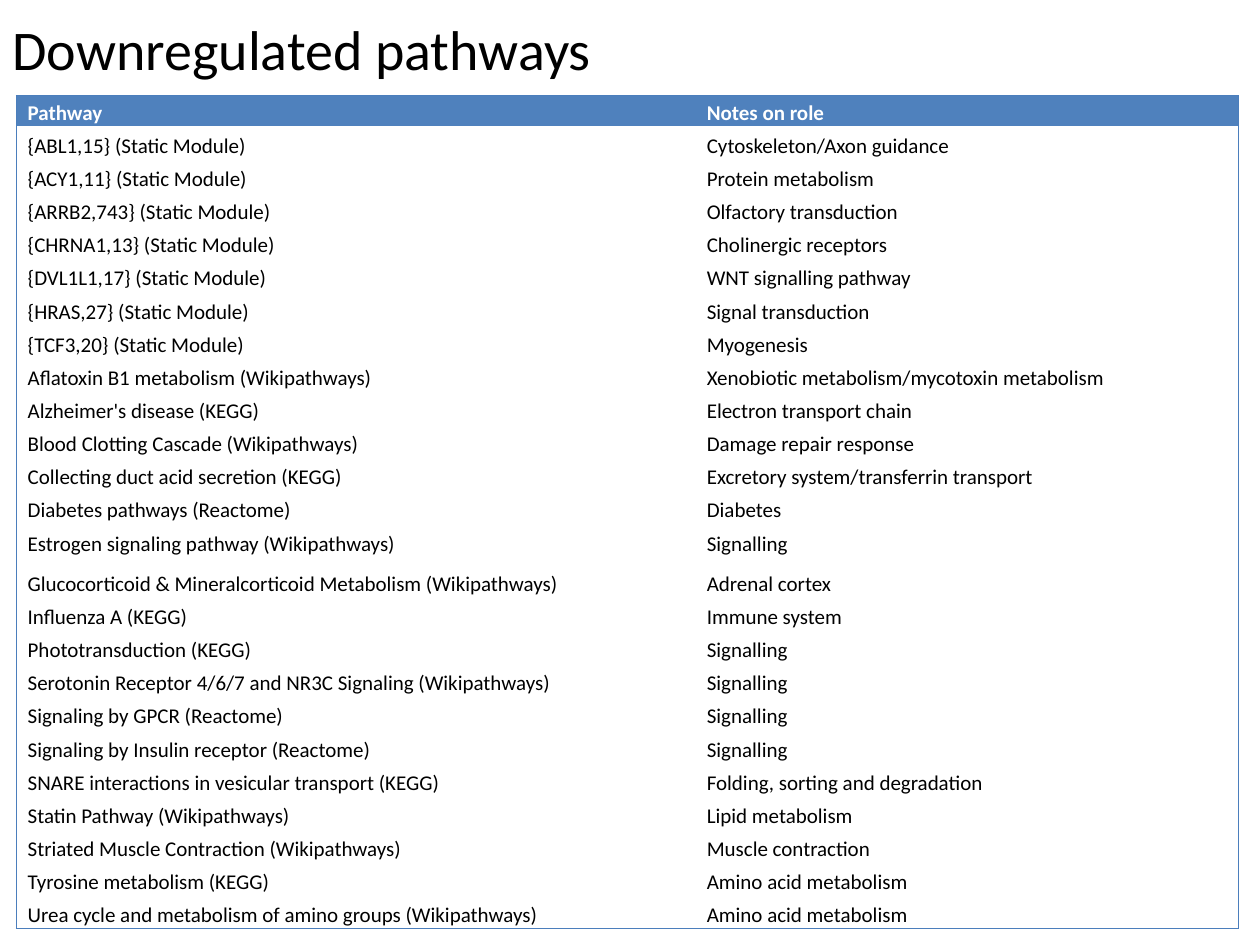
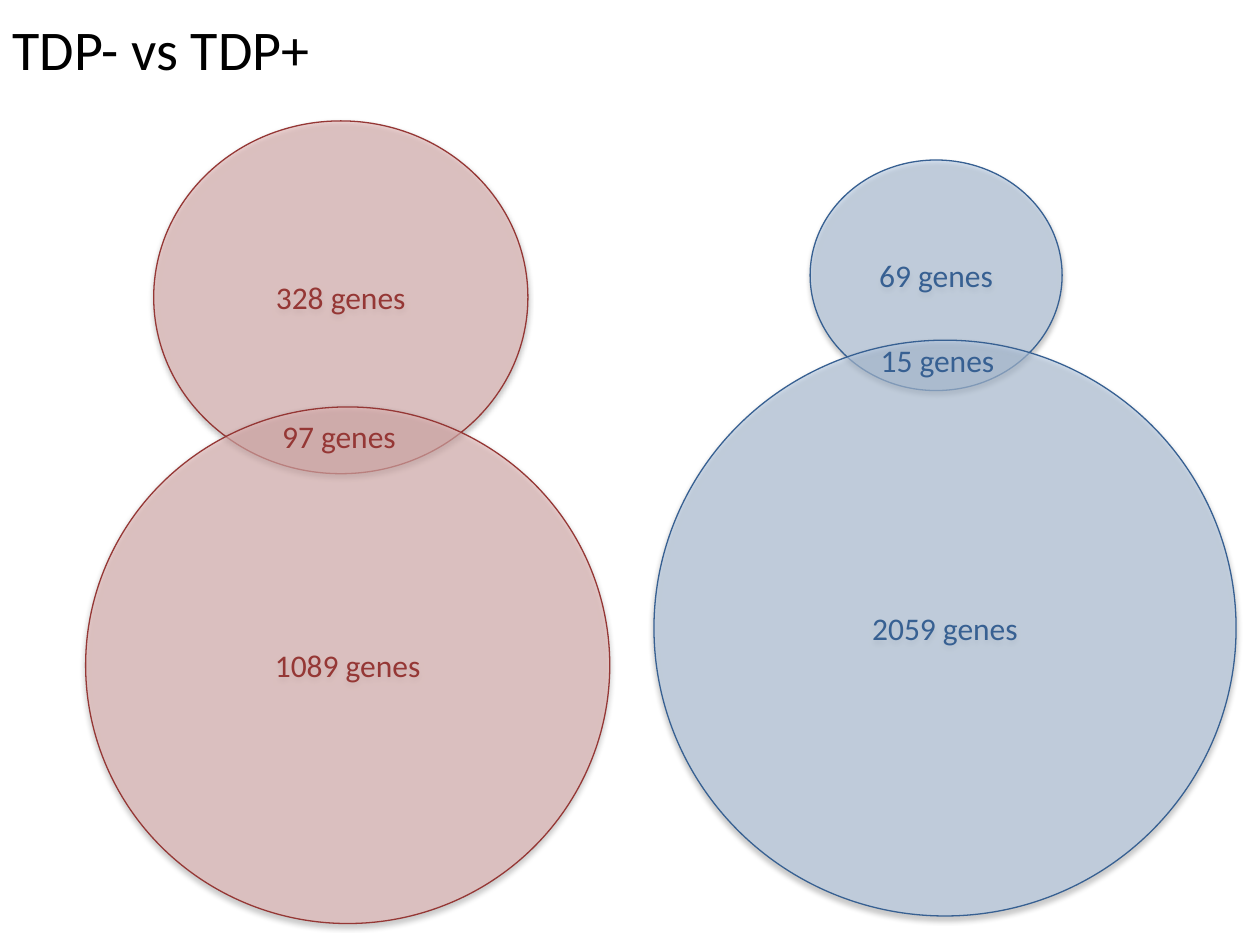
from pptx import Presentation
from pptx.dml.color import RGBColor
from pptx.enum.shapes import MSO_SHAPE as Shape
from pptx.enum.text import MSO_ANCHOR as Anchor, PP_ALIGN as Align
from pptx.oxml.ns import qn
from pptx.util import Inches, Pt
from lxml.etree import SubElement as Sub

COLS, ROWS = 100, 75  # grid of the slide
WIDE, HIGH = Inches(10), Inches(7.5)
FONT = "Calibri"
BLACK, WHITE = "000000", "FFFFFF"
HEAD, EDGE = "4F81BD", "4B7EBC"
RED = ("E6B9B8", "953735")
BLUE = ("B9CDE5", "376092")
PLAIN = "{2D5ABB26-0587-4C30-8999-92F81FD0307C}"  # table style without lines
HEADS = ("Pathway", "Notes on role")
GROUPS = (
    ("Static Module", (
        ("{ABL1,15}", "Cytoskeleton/Axon guidance"),
        ("{ACY1,11}", "Protein metabolism"),
        ("{ARRB2,743}", "Olfactory transduction"),
        ("{CHRNA1,13}", "Cholinergic receptors"),
        ("{DVL1L1,17}", "WNT signalling pathway"),
        ("{HRAS,27}", "Signal transduction"),
        ("{TCF3,20}", "Myogenesis"))),
    ("Wikipathways", (
        ("Aflatoxin B1 metabolism", "Xenobiotic metabolism/mycotoxin metabolism"),)),
    ("KEGG", (("Alzheimer's disease", "Electron transport chain"),)),
    ("Wikipathways", (("Blood Clotting Cascade", "Damage repair response"),)),
    ("KEGG", (
        ("Collecting duct acid secretion", "Excretory system/transferrin transport"),)),
    ("Reactome", (("Diabetes pathways", "Diabetes"),)),
    ("Wikipathways", (
        ("Estrogen signaling pathway", "Signalling"),
        ("Glucocorticoid & Mineralcorticoid Metabolism", "Adrenal cortex"))),
    ("KEGG", (
        ("Influenza A", "Immune system"),
        ("Phototransduction", "Signalling"))),
    ("Wikipathways", (
        ("Serotonin Receptor 4/6/7 and NR3C Signaling", "Signalling"),)),
    ("Reactome", (
        ("Signaling by GPCR", "Signalling"),
        ("Signaling by Insulin receptor", "Signalling"))),
    ("KEGG", (
        ("SNARE interactions in vesicular transport",
         "Folding, sorting and degradation"),)),
    ("Wikipathways", (
        ("Statin Pathway", "Lipid metabolism"),
        ("Striated Muscle Contraction", "Muscle contraction"))),
    ("KEGG", (("Tyrosine metabolism", "Amino acid metabolism"),)),
    ("Wikipathways", (
        ("Urea cycle and metabolism of amino groups", "Amino acid metabolism"),)),
)


def color(code):
    return RGBColor.from_string(code)


def across(cols):
    return int(WIDE * cols / COLS)


def down(rows):
    return int(HIGH * rows / ROWS)


def place(left, top, cols, rows):
    return across(left), down(top), across(cols), down(rows)


def write(para, text, size, tone, bold=False):
    run = para.add_run()
    run.text = text
    font = run.font
    font.name, font.size, font.bold = FONT, Pt(size), bold
    font.color.rgb = color(tone)


def label(slide, spot, text, size, tone, anchor=Anchor.TOP):
    frame = slide.shapes.add_textbox(*place(*spot)).text_frame
    frame.word_wrap = True
    frame.vertical_anchor = anchor
    write(frame.paragraphs[0], text, size, tone)


def page(deck, title):
    """Add a blank slide with its title."""
    slide = deck.slides.add_slide(deck.slide_layouts[6])
    label(slide, (0, 0, 95, 7.6), title, 32, BLACK, Anchor.MIDDLE)
    return slide


def tint(node, tone, alpha):
    """Give a colour node its value and opacity in percent."""
    node.set("val", tone)
    Sub(node, qn("a:alpha")).set("val", str(alpha * 1000))


def shade(shape):
    """Cast a soft shadow straight down."""
    shape.shadow.inherit = False
    effects = shape._element.spPr.find(qn("a:effectLst"))
    outer = Sub(effects, qn("a:outerShdw"), blurRad=str(Pt(3.1)),
                dist=str(Pt(1.8)), dir=str(90 * 60000), rotWithShape="0")
    tint(Sub(outer, qn("a:srgbClr")), BLACK, 35)


def disc(slide, spot, text, tones):
    fill, ink = tones
    shape = slide.shapes.add_shape(Shape.OVAL, *place(*spot))
    shape.fill.solid()
    shape.fill.fore_color.rgb = color(fill)
    tint(next(shape._element.spPr.iter(qn("a:srgbClr"))), fill, 60)
    shape.line.color.rgb = color(ink)
    shape.line.width = Pt(0.75)
    shade(shape)
    frame = shape.text_frame
    frame.vertical_anchor = Anchor.MIDDLE
    para = frame.paragraphs[0]
    para.alignment = Align.CENTER
    write(para, text, 18, ink)


def venn(slide, tones, upper, lower, both):
    """Draw two discs, each a (spot, count), and the count they share."""
    for spot, count in (upper, lower):
        disc(slide, spot, f"{count} genes", tones)
    spot, count = both
    label(slide, (*spot, 13.8, 4), f"{count} genes", 18, tones[1])


def border(cell, sides):
    props = cell._tc.get_or_add_tcPr()
    for side in sides:
        line = Sub(props, qn(f"a:ln{side}"), w=str(Pt(0.75)))
        Sub(Sub(line, qn("a:solidFill")), qn("a:srgbClr")).set("val", EDGE)


def fill(cell, text, first, head):
    cell.margin_left = cell.margin_right = cell.margin_top = across(0.1)
    cell.margin_bottom = 0
    cell.vertical_anchor = Anchor.BOTTOM
    para = cell.text_frame.paragraphs[0]
    if first:
        para._p.get_or_add_pPr().set("marL", str(across(0.8)))
    write(para, text, 12, WHITE if head else BLACK, head)
    if head:
        cell.fill.solid()
        cell.fill.fore_color.rgb = color(HEAD)
    else:
        cell.fill.background()


def grid(slide, data, spot, widths, tall):
    """Add a table; tall maps some rows to heights, the rest share equally."""
    table = slide.shapes.add_table(len(data), len(widths), *place(*spot)).table
    table.first_row = table.horz_banding = False
    table._tbl.tblPr.find(qn("a:tableStyleId")).text = PLAIN
    for col, width in zip(table.columns, widths):
        col.width = across(width)
    even = (spot[3] - sum(tall.values())) / (len(data) - len(tall))
    last = len(data) - 1
    for i, texts in enumerate(data):
        table.rows[i].height = down(tall.get(i, even))
        for j, text in enumerate(texts):
            cell = table.cell(i, j)
            ends = ("T" if i == 0 else "") + ("B" if i == last else "")
            border(cell, ("R" if j else "L") + ends)
            fill(cell, text, j == 0, i == 0)


def main():
    deck = Presentation()
    deck.slide_width, deck.slide_height = WIDE, HIGH

    slide = page(deck, "Downregulated pathways")
    data = [HEADS] + [(f"{name} ({source})", role)
                      for source, items in GROUPS for name, role in items]
    grid(slide, data, (1.3, 7.6, 97, 66.1), (54.7, 42.3), {0: 2.4, 14: 3.2})

    slide = page(deck, "TDP- vs TDP+")
    venn(slide, RED, ((12.2, 9.6, 29.7, 28), 328),
         ((6.8, 32.3, 41.6, 41), 1089), ((21.4, 32.6), 97))
    venn(slide, BLUE, ((64.3, 12.7, 20, 18.3), 69),
         ((51.9, 27, 46.2, 45.7), 2059), ((68.9, 26.6), 15))

    deck.save("out.pptx")


if __name__ == "__main__":
    main()
